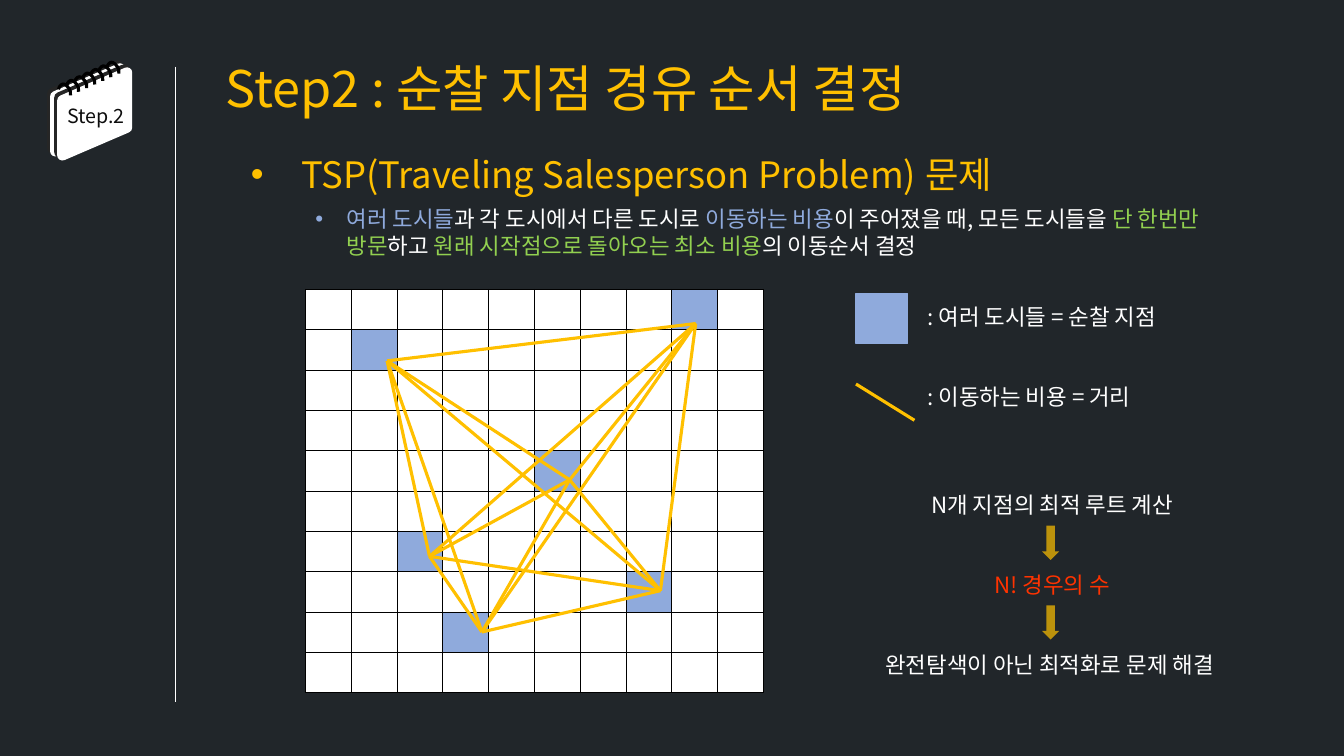
from itertools import combinations

from lxml.etree import SubElement
from pptx import Presentation
from pptx.dml.color import RGBColor
from pptx.enum.shapes import MSO_CONNECTOR as Connector, MSO_SHAPE as Shape
from pptx.enum.text import MSO_ANCHOR as Anchor, MSO_AUTO_SIZE as AutoSize, PP_ALIGN as Align
from pptx.oxml.ns import qn
from pptx.util import Inches, Pt

DARK = RGBColor(0x21, 0x26, 0x2A)
SHADOW = RGBColor(0x26, 0x26, 0x26)
INK = RGBColor(0x0D, 0x0D, 0x0D)
BLACK = RGBColor(0, 0, 0)
WHITE = RGBColor(0xFF, 0xFF, 0xFF)
GOLD = RGBColor(0xFF, 0xC0, 0x00)
BLUE = RGBColor(0x8F, 0xAA, 0xDC)
GREEN = RGBColor(0x92, 0xD0, 0x50)
RED = RGBColor(0xFF, 0x33, 0x00)
KOREAN_FONT = "Noto Sans CJK KR"
LABEL_FONT = "Noto Sans CJK SC"

CITIES = {(0, 8), (1, 1), (4, 5), (6, 2), (7, 7), (8, 3)}
ROUTE_STOPS = [(0.81, 0.71), (3.87, 0.34), (2.62, 1.89), (1.23, 2.65), (3.52, 2.99), (1.75, 3.4)]
RING_POINTS = [(0, 0.06), (0.01, 0.02), (0.04, 0), (0.06, 0.01), (0.08, 0.02), (0.13, 0.06), (0.12, 0.12)]


def add_child(parent, tag, **attributes):
    return SubElement(parent, qn(tag), attributes)


def add_line(slide, start, end, color, width):
    points = [Inches(value) for value in (*start, *end)]
    line = slide.shapes.add_connector(Connector.STRAIGHT, *points)
    line.line.color.rgb = color
    line.line.width = Pt(width)
    add_child(line.element.spPr, "a:effectLst")


def add_filled_shape(slide, kind, left, top, width, height, color):
    shape = slide.shapes.add_shape(kind, Inches(left), Inches(top), Inches(width), Inches(height))
    shape.shadow.inherit = False
    shape.fill.solid()
    shape.fill.fore_color.rgb = color
    shape.line.fill.background()
    return shape


def write_text(frame, paragraphs, size, font=KOREAN_FONT, align=Align.LEFT, gap=0, indent=0):
    frame.auto_size = AutoSize.NONE
    frame.vertical_anchor = Anchor.TOP
    for index, runs in enumerate(paragraphs):
        paragraph = frame.add_paragraph() if index else frame.paragraphs[0]
        paragraph.alignment = align
        paragraph.line_spacing = Pt(size * 1.2)
        paragraph.space_before = Pt(gap if index else 0)
        if indent:
            properties = paragraph._p.get_or_add_pPr()
            properties.set("marL", str(Inches(indent)))
            properties.set("indent", str(-Inches(indent)))
            add_child(properties, "a:buFont", typeface="Arial")
            add_child(properties, "a:buChar", char="•")
        for text, color in runs:
            run = paragraph.add_run()
            run.text = text
            run.font.size = Pt(size)
            run.font.name = font
            run.font.color.rgb = color


def add_text(slide, left, top, width, height, paragraphs, size, wrap=True, **style):
    box = slide.shapes.add_textbox(Inches(left), Inches(top), Inches(width), Inches(height))
    box.text_frame.word_wrap = wrap
    write_text(box.text_frame, paragraphs, size, **style)


def add_notepad_page(slide, left, top):
    page = add_filled_shape(slide, Shape.PARALLELOGRAM, left, top, 0.82, 0.64, WHITE)
    page.adjustments[0] = 0.43
    page.rotation = 90
    page.element.spPr.xfrm.set("flipH", "1")
    page.line.color.rgb = WHITE
    page.line.width = Pt(7.5)
    add_child(page.line._get_or_add_ln(), "a:round")
    effects = page.element.spPr.find(qn("a:effectLst"))
    shadow = add_child(effects, "a:outerShdw", dist=str(Pt(3)), dir="13500000", algn="br", rotWithShape="0")
    add_child(shadow, "a:srgbClr", val=str(SHADOW))


def add_ring(slide, left, top):
    points = [(Inches(left + x), Inches(top + y)) for x, y in RING_POINTS]
    builder = slide.shapes.build_freeform(*points[0])
    builder.add_line_segments(points[1:], close=False)
    ring = builder.convert_to_shape()
    ring.shadow.inherit = False
    ring.fill.background()
    ring.line.color.rgb = BLACK
    ring.line.width = Pt(2.25)
    segments = list(ring.element.iter(qn("a:lnTo")))
    outline = segments[0].getparent()
    for first in range(0, len(segments), 3):
        curve = add_child(outline, "a:cubicBezTo")
        for segment in segments[first:first + 3]:
            curve.append(segment[0])
            outline.remove(segment)


def add_notepad(slide, left, top):
    add_notepad_page(slide, left, top + 0.16)
    add_notepad_page(slide, left + 0.07, top + 0.2)
    for index in range(7):
        add_ring(slide, left + 0.6 - 0.08 * index, top + 0.036 * index)
    add_text(slide, left + 0.1, top + 0.37, 0.78, 0.34, [[("Step.2", INK)]], 14,
             wrap=False, font=LABEL_FONT, align=Align.CENTER)


def add_heading(slide, left, top):
    title = slide.shapes.title
    title.left, title.top = Inches(left), Inches(top)
    title.width, title.height = Inches(8.53), Inches(0.71)
    write_text(title.text_frame, [[("Step2 : 순찰 지점 경유 순서 결정", GOLD)]], 36)
    add_text(slide, left + 0.25, top + 0.94, 10.3, 0.54,
             [[("TSP(Traveling Salesperson Problem) 문제", GOLD)]], 26, indent=0.5)
    definition = [
        ("여러 도시들", BLUE),
        ("과 각 도시에서 다른 도시로 ", WHITE),
        ("이동하는 비용", BLUE),
        ("이 주어졌을 때, 모든 도시들을 ", WHITE),
        ("단 한번만 방문", GREEN),
        ("하고 ", WHITE),
        ("원래 시작점으로 돌아오는 최소 비용", GREEN),
        ("의 이동순서 결정", WHITE),
    ]
    add_text(slide, left + 0.89, top + 1.47, 9.51, 0.64, [definition], 16, indent=0.31)


def format_cell(cell, color):
    cell.margin_top = cell.margin_bottom = 0
    properties = cell._tc.get_or_add_tcPr()
    for side in ("a:lnL", "a:lnR", "a:lnT", "a:lnB"):
        border = add_child(properties, side, w=str(Pt(0.5)))
        add_child(add_child(border, "a:solidFill"), "a:srgbClr", val=str(BLACK))
    cell.fill.solid()
    cell.fill.fore_color.rgb = color


def add_city_map(slide, left, top, width, height, count=10):
    frame = slide.shapes.add_table(count, count, Inches(left), Inches(top), Inches(width), Inches(height))
    table = frame.table
    table.first_row = table.horz_banding = False
    for row in range(count):
        for column in range(count):
            format_cell(table.cell(row, column), BLUE if (row, column) in CITIES else WHITE)
    stops = [(left + x, top + y) for x, y in ROUTE_STOPS]
    for start, end in combinations(stops, 2):
        add_line(slide, start, end, GOLD, 2.25)


def add_legend(slide, left, top):
    add_text(slide, left + 0.61, top + 0.05, 2.92, 1.45,
             [[(": 여러 도시들 = 순찰 지점", WHITE)], [(": 이동하는 비용 = 거리", WHITE)]], 16, gap=38)
    city = add_filled_shape(slide, Shape.RECTANGLE, left, top, 0.51, 0.5, BLUE)
    city.line.color.rgb = BLUE
    city.line.width = Pt(1)
    add_line(slide, (left, top + 0.9), (left + 0.58, top + 1.26), GOLD, 2.25)


def add_conclusion(slide, left, top):
    steps = [
        ("N개 지점의 최적 루트 계산", WHITE),
        ("N! 경우의 수", RED),
        ("완전탐색이 아닌 최적화로 문제 해결 ", WHITE),
    ]
    add_text(slide, left, top, 3.89, 1.99, [[step] for step in steps], 16, align=Align.CENTER, gap=38)
    for index in range(len(steps) - 1):
        arrow = add_filled_shape(slide, Shape.RIGHT_ARROW, left + 1.76, top + 0.48 + 0.79 * index, 0.34, 0.17, GOLD)
        arrow.rotation = 90
        color = arrow.element.spPr.find(qn("a:solidFill")).find(qn("a:srgbClr"))
        add_child(color, "a:alpha", val="70000")


def main():
    presentation = Presentation()
    presentation.slide_width, presentation.slide_height = Inches(13.33), Inches(7.5)
    slide = presentation.slides.add_slide(presentation.slide_layouts[5])
    slide.background.fill.solid()
    slide.background.fill.fore_color.rgb = DARK
    add_line(slide, (1.74, 0.66), (1.74, 6.96), WHITE, 0.5)
    add_notepad(slide, 0.46, 0.61)
    add_heading(slide, 2.14, 0.52)
    add_city_map(slide, 3.03, 2.87, 4.54, 4)
    add_legend(slide, 8.49, 2.91)
    add_conclusion(slide, 8.49, 4.82)
    presentation.save("out.pptx")


if __name__ == "__main__":
    main()
